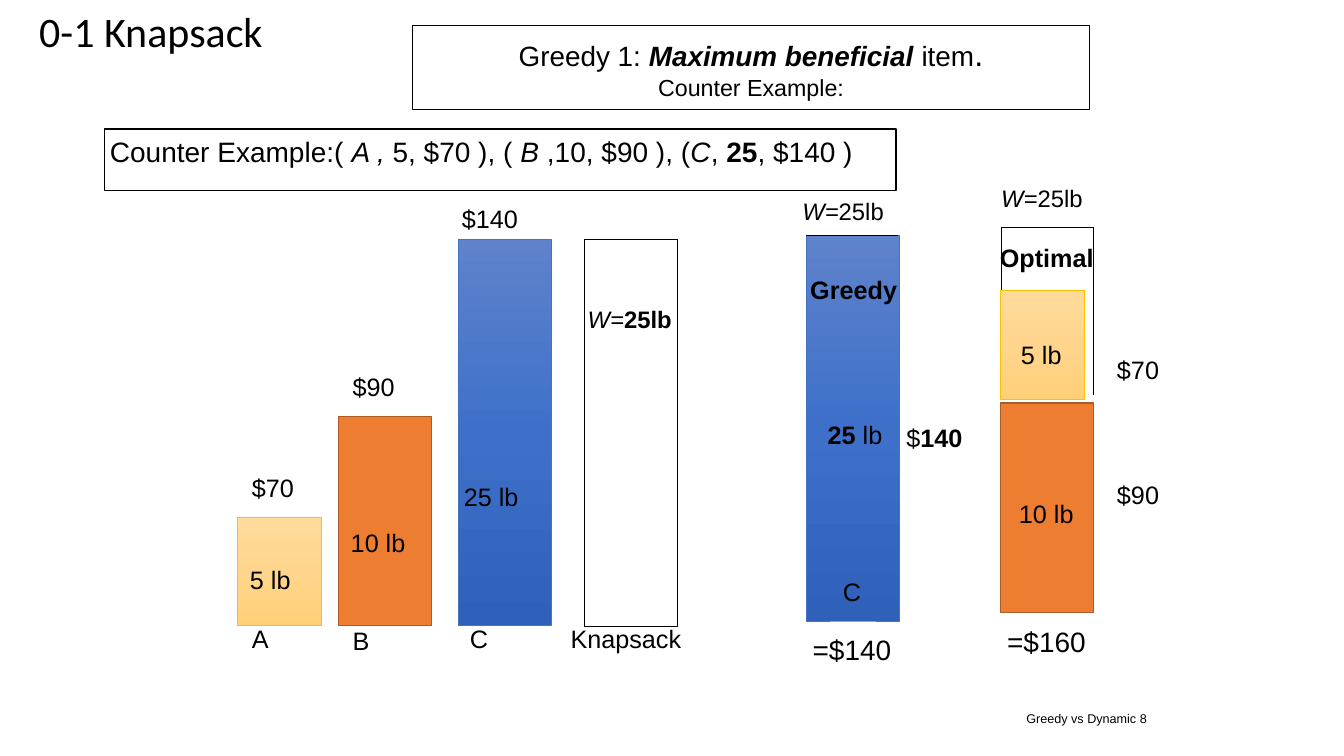
from copy import deepcopy
from pptx import Presentation
from pptx.dml.color import RGBColor
from pptx.enum.shapes import MSO_CONNECTOR, MSO_SHAPE
from pptx.enum.text import MSO_ANCHOR, MSO_AUTO_SIZE, PP_ALIGN
from pptx.oxml.ns import qn
from pptx.util import Cm, Pt
from lxml.etree import SubElement

HUES = {
    "ink": "000000",
    "gold": ("FFDB9B", "FFD58D", "FFD078"), "gold edge": "FFC000",
    "rust": "ED7D31", "rust edge": "AD5B24",
    "blue": ("5F82CB", "3E70CA", "2F61BA"), "blue edge": "4472C4",
}

HEAD = [("Greedy 1: ", "", 19.9), ("Maximum beneficial", "bi", 19.9),
        (" item", "", 19.9), (".", "", 23.2), ("\n", "", 16.6),
        ("Counter Example:", "", 16.6)]
ITEMS = [("Counter Example:( ", ""), ("A ,", "i"), (" 5, $70 ), ( ", ""),
         ("B", "i"), (" ,10, $90 ), (", ""), ("C", "i"), (", ", ""),
         ("25", "b"), (", $140 )", "")]

KINDS = {
    "A": (2.11, 2.74, "gold", "gold edge", 0.5),
    "B": (2.34, 5.28, "rust", "rust edge", 1),
    "C": (2.34, 9.73, "blue", "blue edge", 0.5),
    "sack": (2.34, 9.73, None, "ink", 0.25),
}
BARS = [("A", 5.99, 15.77), ("B", 8.53, 15.77), ("C", 11.56, 15.77),
        ("sack", 14.73, 15.77), ("C", 20.32, 15.65)]
BEST = [("B", 25.22, 15.44), ("A", 25.22, 10.06)]
RULES = [(20.32, 5.92, 22.63, 5.92), (25.22, 5.72, 27.56, 5.72),
         (25.22, 9.96, 25.22, 5.72), (27.56, 9.96, 27.56, 5.72)]

WEIGHT = [("W=", "i"), ("25lb", "")]
LABELS = {
    18: [
        ("5 lb", 6.17, 14.1, 1.32), ("$70", 6.22, 11.76, 1.35),
        ("10 lb", 8.71, 13.16, 1.68), ("$90", 8.76, 9.22, 1.35),
        ("$140", 11.51, 5, 1.7), ("25 lb", 11.56, 11.99, 1.68),
        ("A", 6.22, 15.57, 0.71), ("B", 8.76, 15.62, 0.71),
        ("C", 11.71, 15.57, 0.74), ("Knapsack", 14.25, 15.57, 3.07),
        ([("25", "b"), (" lb", "")], 20.73, 10.44, 1.68),
        ([("$", ""), ("140", "b")], 22.71, 10.52, 1.7),
        ([("Optimal", "b")], 25.07, 5.97, 2.64),
        ([("Greedy", "b")], 20.29, 6.78, 2.49),
        ("C", 21.11, 14.38, 0.74),
        ("$70", 28.02, 8.79, 1.35), ("$90", 28.02, 11.96, 1.35),
        ("10 lb", 25.55, 12.42, 1.68), ("5 lb", 25.6, 8.43, 1.32),
    ],
    17: [
        ([("W=", "i"), ("25lb", "b")], 14.68, 7.54, 2.72),
        (WEIGHT, 20.09, 4.83, 2.34), (WEIGHT, 25.1, 4.5, 2.34),
    ],
    20: [("=$140", 20.35, 15.82, 2.26), ("=$160", 25.25, 15.6, 2.26)],
}


def tint(hue):
    return RGBColor.from_string(hue)


def edge(line, hue, size):
    line.color.rgb = tint(HUES[hue])
    line.width = Pt(size)


def write(para, parts, size=18, face="Arial"):
    if isinstance(parts, str):
        parts = [(parts, "")]
    for text, style, *own in parts:
        if text == "\n":
            para.add_line_break()
            continue
        run = para.add_run()
        run.text = text
        font = run.font
        font.name, font.size = face, Pt(own[0] if own else size)
        font.bold, font.italic = "b" in style, "i" in style
        font.color.rgb = tint(HUES["ink"])


def inset(frame):
    frame.margin_left = frame.margin_right = Cm(0.13)
    frame.margin_top = frame.margin_bottom = Cm(0.13)


def place(shape, left, top, width, height):
    shape.left, shape.top = Cm(left), Cm(top)
    shape.width, shape.height = Cm(width), Cm(height)


def label(parts, left, top, width, size, face="Arial", align=PP_ALIGN.LEFT):
    high = size * 0.0424 + 0.2
    box = slide.shapes.add_textbox(Cm(left), Cm(top), Cm(width), Cm(high))
    frame = box.text_frame
    inset(frame)
    frame.word_wrap = align == PP_ALIGN.RIGHT
    frame.auto_size = MSO_AUTO_SIZE.SHAPE_TO_FIT_TEXT
    para = frame.paragraphs[0]
    para.alignment = align
    write(para, parts, size, face)


def shade(shape, hues):
    fill = shape.fill
    fill.gradient()
    fill.gradient_angle = 270
    stops = shape._element.spPr.find(".//" + qn("a:gsLst"))
    stops.insert(1, deepcopy(stops[0]))
    for stop, hue, spot in zip(fill.gradient_stops, hues, (0, 0.5, 1)):
        stop.color.rgb = tint(hue)
        stop.position = spot


def bar(kind, left, base):
    width, height, hue, rim, size = KINDS[kind]
    shape = slide.shapes.add_shape(MSO_SHAPE.RECTANGLE, Cm(left),
                                   Cm(base - height), Cm(width), Cm(height))
    shape.shadow.inherit = False
    if hue is None:
        shape.fill.background()
    elif isinstance(HUES[hue], tuple):
        shade(shape, HUES[hue])
    else:
        shape.fill.solid()
        shape.fill.fore_color.rgb = tint(HUES[hue])
    edge(shape.line, rim, size)


def rule(*ends):
    line = slide.shapes.add_connector(MSO_CONNECTOR.STRAIGHT, *map(Cm, ends))
    SubElement(line._element.spPr, qn("a:effectLst"))
    edge(line.line, "ink", 0.25)


deck = Presentation()
deck.slide_width, deck.slide_height = Cm(33.87), Cm(19.05)
slide = deck.slides.add_slide(deck.slide_layouts[1])

title, body = slide.placeholders
place(title, 10.39, 0.64, 17.07, 2.11)
place(body, 2.64, 3.25, 19.94, 1.55)
for shape, size, anchor in ((title, 0.25, MSO_ANCHOR.MIDDLE),
                            (body, 1, MSO_ANCHOR.TOP)):
    edge(shape.line, "ink", size)
    inset(shape.text_frame)
    shape.text_frame.auto_size = MSO_AUTO_SIZE.NONE
    shape.text_frame.vertical_anchor = anchor

para = title.text_frame.paragraphs[0]
para.alignment = PP_ALIGN.CENTER
write(para, HEAD)

para = body.text_frame.paragraphs[0]
props = para._p.get_or_add_pPr()
props.set("marL", str(Cm(0.95)))
props.set("indent", str(-Cm(0.95)))
SubElement(props, qn("a:buNone"))
para.space_before = Pt(0)
write(para, ITEMS, 20)

for item in BARS:
    bar(*item)
for ends in RULES:
    rule(*ends)
for item in BEST:
    bar(*item)
for size, group in LABELS.items():
    for parts, left, top, width in group:
        label(parts, left, top, width, size)
label("0-1 Knapsack", 0.86, 0, 5.92, 30, "Calibri")
label("Greedy vs Dynamic 8", 23.75, 17.78, 5.28, 9, align=PP_ALIGN.RIGHT)

deck.save("out.pptx")
